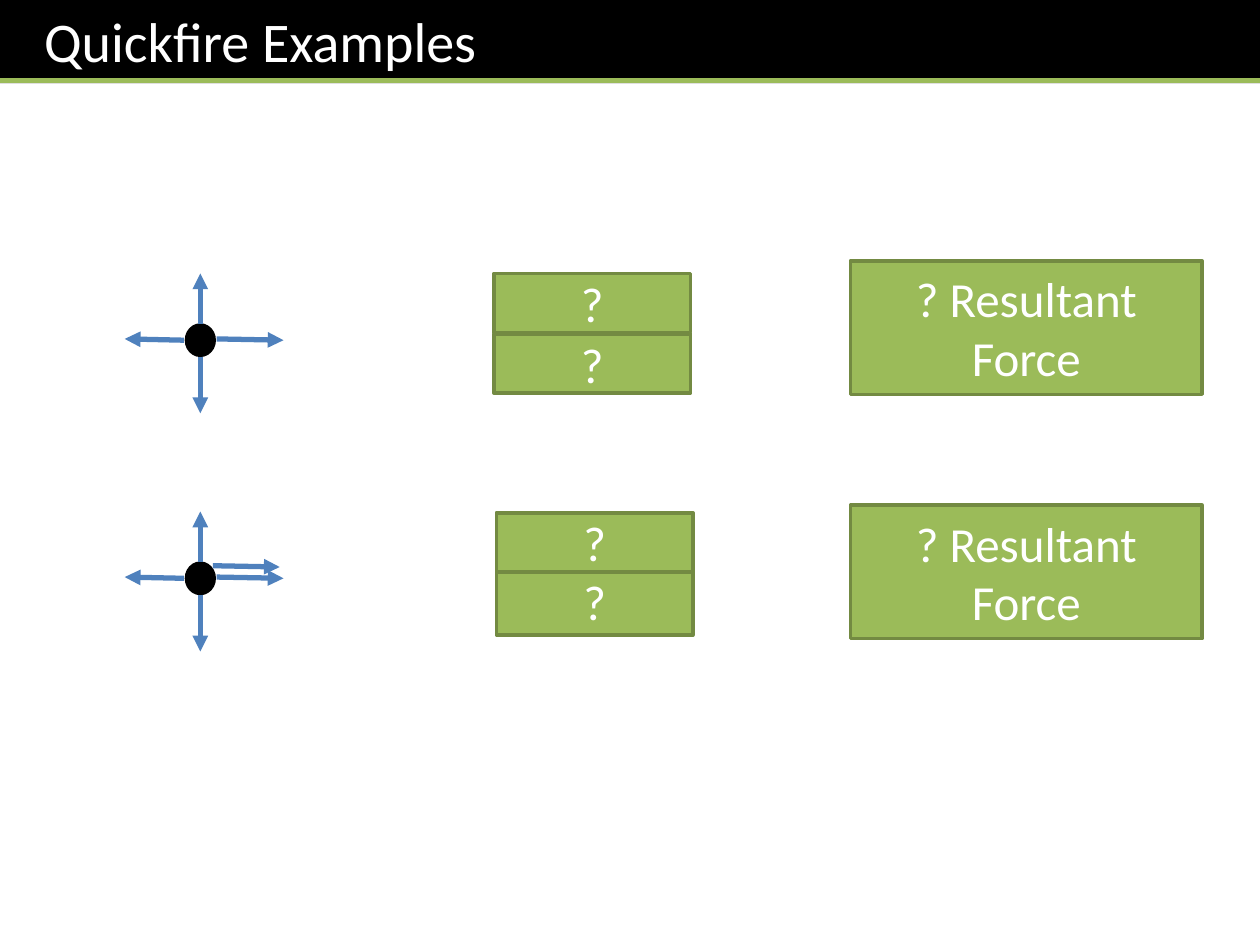
from lxml import etree
from pptx import Presentation
from pptx.dml.color import RGBColor
from pptx.enum.shapes import MSO_CONNECTOR as Connector, MSO_SHAPE as Shape
from pptx.enum.text import MSO_ANCHOR as Anchor, MSO_AUTO_SIZE as AutoSize, PP_ALIGN as Align
from pptx.oxml.ns import qn
from pptx.util import Inches, Pt

COLOURS = {
    "black": "000000",
    "white": "FFFFFF",
    "green": "9BBB59",
    "dark green": "738A42",
    "blue": "4F81BD",
}


def colour(name):
    """Return the named palette colour."""
    return RGBColor.from_string(COLOURS[name])


def write(shape, text, size, align, anchor, left_inset=0.1):
    """Set and format the one paragraph of a shape."""
    frame = shape.text_frame
    frame_format = {
        "word_wrap": True,
        "auto_size": AutoSize.NONE,
        "vertical_anchor": anchor,
        "margin_left": Inches(left_inset),
        "margin_right": Inches(0.1),
        "margin_top": Inches(0.05),
        "margin_bottom": Inches(0.05),
    }
    for name, value in frame_format.items():
        setattr(frame, name, value)
    para = frame.paragraphs[0]
    para.alignment = align
    span = para.add_run()
    span.text = text
    for name, value in {"name": "Calibri", "size": Pt(size)}.items():
        setattr(span.font, name, value)
    span.font.color.rgb = colour("white")


def add_filled(page, kind, box, fill, line):
    """Add a filled, outlined preset shape without shadow."""
    shape = page.shapes.add_shape(kind, *map(Inches, box))
    shape.shadow.inherit = False
    shape.fill.solid()
    shape.fill.fore_color.rgb = colour(fill)
    shape.line.color.rgb = colour(line)
    shape.line.width = Pt(2)
    return shape


def add_line(page, start, end, line, arrow=False):
    """Add a straight line, with an arrowhead at its end if asked."""
    connector = page.shapes.add_connector(Connector.STRAIGHT, *map(Inches, (*start, *end)))
    connector.line.color.rgb = colour(line)
    connector.line.width = Pt(3)
    if arrow:
        etree.SubElement(connector.line._get_or_add_ln(), qn("a:tailEnd"), type="triangle")
    etree.SubElement(connector._element.spPr, qn("a:effectLst"))


def add_header(page, left, top, width, height):
    """Place the title bar and the green rule along its lower edge."""
    title = page.shapes.title
    for name, value in zip(("left", "top", "width", "height"), (left, top, width, height)):
        setattr(title, name, Inches(value))
    title.fill.solid()
    title.fill.fore_color.rgb = colour("black")
    write(title, "Quickfire Examples", 32, Align.LEFT, Anchor.TOP, left_inset=0.35)
    rule_top = top + height - 0.02
    add_line(page, (left, rule_top), (left + width, rule_top), "green")


def add_force_diagram(page, left, top, extra_force=False):
    """Draw a particle with a force in each direction, and maybe a second one to the right."""
    forces = [
        ((0.6, 0.66), (0.6, 1.11)),
        ((0.73, 0.52), (1.26, 0.53)),
        ((0.6, 0.4), (0.6, 0)),
        ((0.47, 0.53), (0, 0.52)),
    ]
    if extra_force:
        forces.append(((0.7, 0.43), (1.23, 0.44)))
    add_filled(page, Shape.OVAL, (left + 0.49, top + 0.41, 0.22, 0.24), "black", "black")
    for force in forces:
        start, end = ((left + x, top + y) for x, y in force)
        add_line(page, start, end, "blue", arrow=True)


def add_answer(page, text, left, top, width, height):
    """Add one green answer box."""
    box = add_filled(page, Shape.RECTANGLE, (left, top, width, height), "green", "dark green")
    write(box, text, 28, Align.CENTER, Anchor.MIDDLE)


def add_answer_pair(page, left, top, lower_offset, lower_height):
    """Stack two answer boxes, the upper one in front."""
    add_answer(page, "?", left, top + lower_offset, 1.56, lower_height)
    add_answer(page, "?", left, top, 1.56, 0.47)


def main():
    """Build the slide and save the deck."""
    deck = Presentation()
    deck.slide_width, deck.slide_height = Inches(10), Inches(7.5)
    page = deck.slides.add_slide(deck.slide_layouts[5])
    add_header(page, 0, 0, 10, 0.66)

    add_force_diagram(page, 0.99, 2.17)
    add_answer_pair(page, 3.92, 2.17, 0.48, 0.47)
    add_answer(page, "? Resultant Force", 6.75, 2.07, 2.79, 1.06)

    add_force_diagram(page, 0.99, 4.06, extra_force=True)
    add_answer_pair(page, 3.94, 4.07, 0.42, 0.55)
    add_answer(page, "? Resultant Force", 6.75, 4.01, 2.79, 1.06)
    deck.save("out.pptx")


if __name__ == "__main__":
    main()
